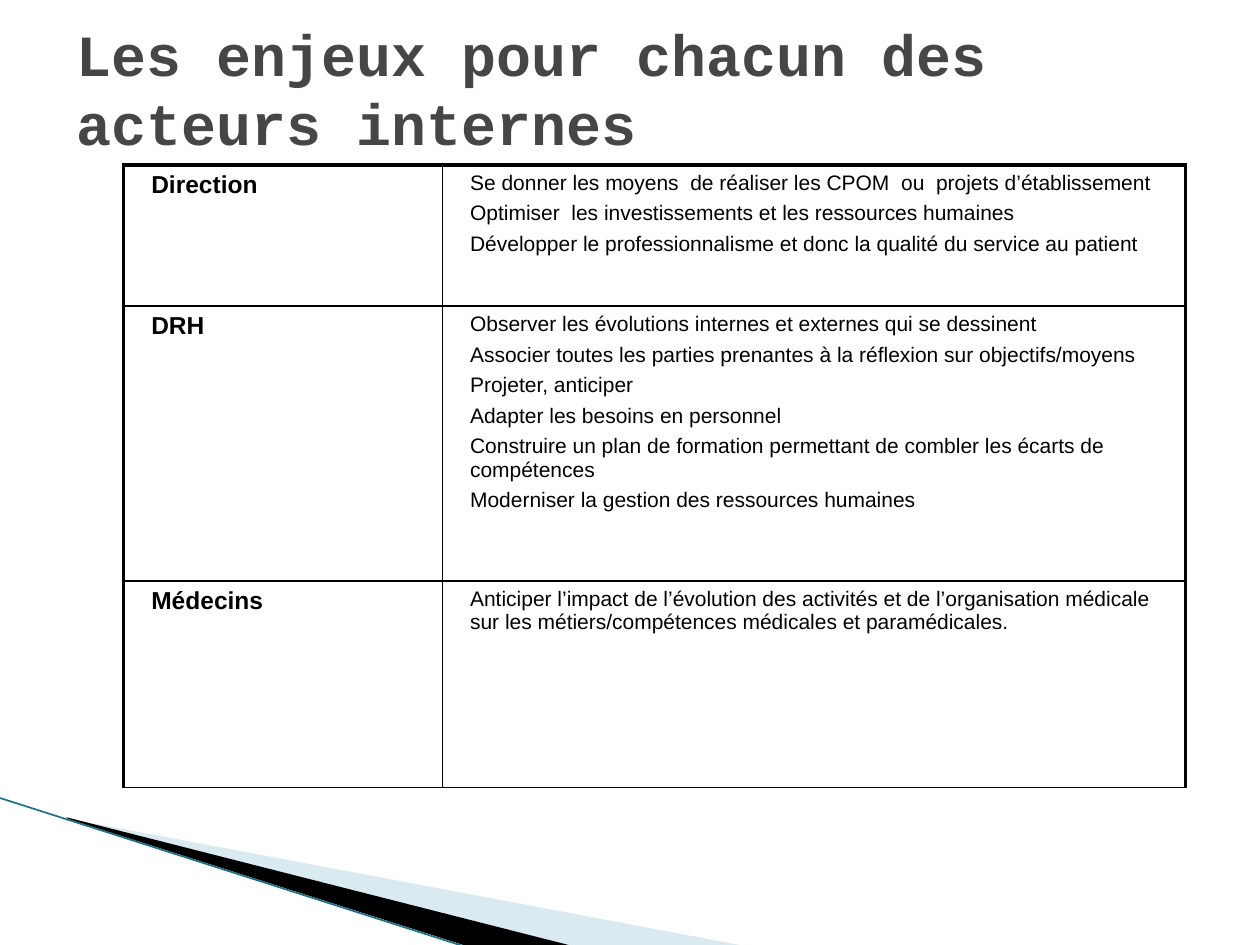
import lxml.etree
import pptx
import pptx.dml.color
import pptx.enum.shapes
import pptx.enum.text
import pptx.oxml.ns
import pptx.util

Pt = pptx.util.Pt
RGBColor = pptx.dml.color.RGBColor
qn = pptx.oxml.ns.qn

BLACK = RGBColor(0x00, 0x00, 0x00)
GREY = RGBColor(0x46, 0x46, 0x46)
PALE = RGBColor(0xA0, 0xCB, 0xDC)
TEAL = RGBColor(0x1B, 0x71, 0x85)

THICK = 2.25
THIN = 1

ROWS = [
    ("Direction", 80.64, [
        "Se donner les moyens  de réaliser les CPOM  ou  projets d’établissement",
        "Optimiser  les investissements et les ressources humaines",
        "Développer le professionnalisme et donc la qualité du service au patient",
    ]),
    ("DRH", 156.96, [
        "Observer les évolutions internes et externes qui se dessinent",
        "Associer toutes les parties prenantes à la réflexion sur objectifs/moyens",
        "Projeter, anticiper",
        "Adapter les besoins en personnel",
        "Construire un plan de formation permettant de combler les écarts de compétences",
        "Moderniser la gestion des ressources humaines",
    ]),
    ("Médecins", 118.08, [
        "Anticiper l’impact de l’évolution des activités et de l’organisation médicale "
        "sur les métiers/compétences médicales et paramédicales.",
    ]),
]


class Deck:
    head = "Courier New"
    body = "Arial"

    def __init__(self, slide):
        self.slide = slide

    def font(self, para, name, size, color, bold):
        for run in para.runs:
            run.font.name = name
            run.font.size = Pt(size)
            run.font.bold = bold
            run.font.color.rgb = color

    def shape(self, points, color, alpha=None):
        first, *rest = points
        build = self.slide.shapes.build_freeform(*first, scale=Pt(1))
        build.add_line_segments(rest, close=True)
        shape = build.convert_to_shape()
        shape.shadow.inherit = False
        shape.line.fill.background()
        shape.fill.solid()
        shape.fill.fore_color.rgb = color
        if alpha is not None:
            tone = shape.fill._xPr.find(".//" + qn("a:srgbClr"))
            lxml.etree.SubElement(tone, qn("a:alpha")).set("val", str(alpha * 1000))

    def line(self, start, end, color, width):
        kind = pptx.enum.shapes.MSO_CONNECTOR.STRAIGHT
        line = self.slide.shapes.add_connector(kind, *map(Pt, start + end))
        line.line.color.rgb = color
        line.line.width = Pt(width)
        lxml.etree.SubElement(line._element.spPr, qn("a:effectLst"))

    def title(self, text, left, top, width, height):
        box = self.slide.shapes.add_textbox(*map(Pt, (left, top, width, height)))
        frame = box.text_frame
        frame.word_wrap = True
        frame.vertical_anchor = pptx.enum.text.MSO_ANCHOR.MIDDLE
        frame.margin_top = Pt(11)
        frame.margin_bottom = 0
        frame.text = text
        para = frame.paragraphs[0]
        para.line_spacing = Pt(39.5)
        self.font(para, self.head, 33.3, GREY, True)

    def border(self, cell, sides):
        props = cell._tc.get_or_add_tcPr()
        for side, width in zip("LRTB", sides):
            edge = lxml.etree.SubElement(props, qn("a:ln" + side))
            edge.set("w", str(Pt(width)))
            fill = lxml.etree.SubElement(edge, qn("a:solidFill"))
            lxml.etree.SubElement(fill, qn("a:srgbClr")).set("val", str(BLACK))

    def cell(self, cell, lines, size, bold, sides):
        self.border(cell, sides)
        cell.fill.background()
        frame = cell.text_frame
        frame.text = "\n".join(lines)
        for num, para in enumerate(frame.paragraphs):
            props = para._p.get_or_add_pPr()
            props.set("marL", str(Pt(8.64)))
            props.set("indent", "0")
            para.space_before = Pt(4 if num else 0)
            self.font(para, self.body, size, BLACK, bold)

    def table(self, rows, left, top, widths):
        high = sum(row[1] for row in rows)
        size = map(Pt, (left, top, sum(widths), high))
        table = self.slide.shapes.add_table(len(rows), len(widths), *size).table
        table.first_row = False
        table.horz_banding = False
        for col, width in zip(table.columns, widths):
            col.width = Pt(width)
        for num, (name, height, lines) in enumerate(rows):
            table.rows[num].height = Pt(height)
            over = THIN if num else THICK
            self.cell(table.cell(num, 0), [name], 14, True, (THICK, THIN, over, THIN))
            self.cell(table.cell(num, 1), lines, 12, False, (THIN, THICK, over, THIN))


def main():
    prs = pptx.Presentation()
    prs.slide_width = Pt(720)
    prs.slide_height = Pt(540)
    deck = Deck(prs.slides.add_slide(prs.slide_layouts[6]))
    deck.shape([(39.6, 468.5), (428.4, 540.7), (328.3, 540.7), (39.6, 468)], PALE, 40)
    deck.shape([(38.2, 467.3), (329, 540.7), (267.8, 541.4), (38.9, 468)], BLACK)
    deck.line((-0.7, 455.8), (267.1, 541.4), TEAL, 0.95)
    deck.title("Les enjeux pour chacun des acteurs internes", 36.7, 0, 648, 90)
    deck.table(ROWS, 70.6, 94.3, (182.2, 424.8))
    prs.save("out.pptx")


if __name__ == "__main__":
    main()
